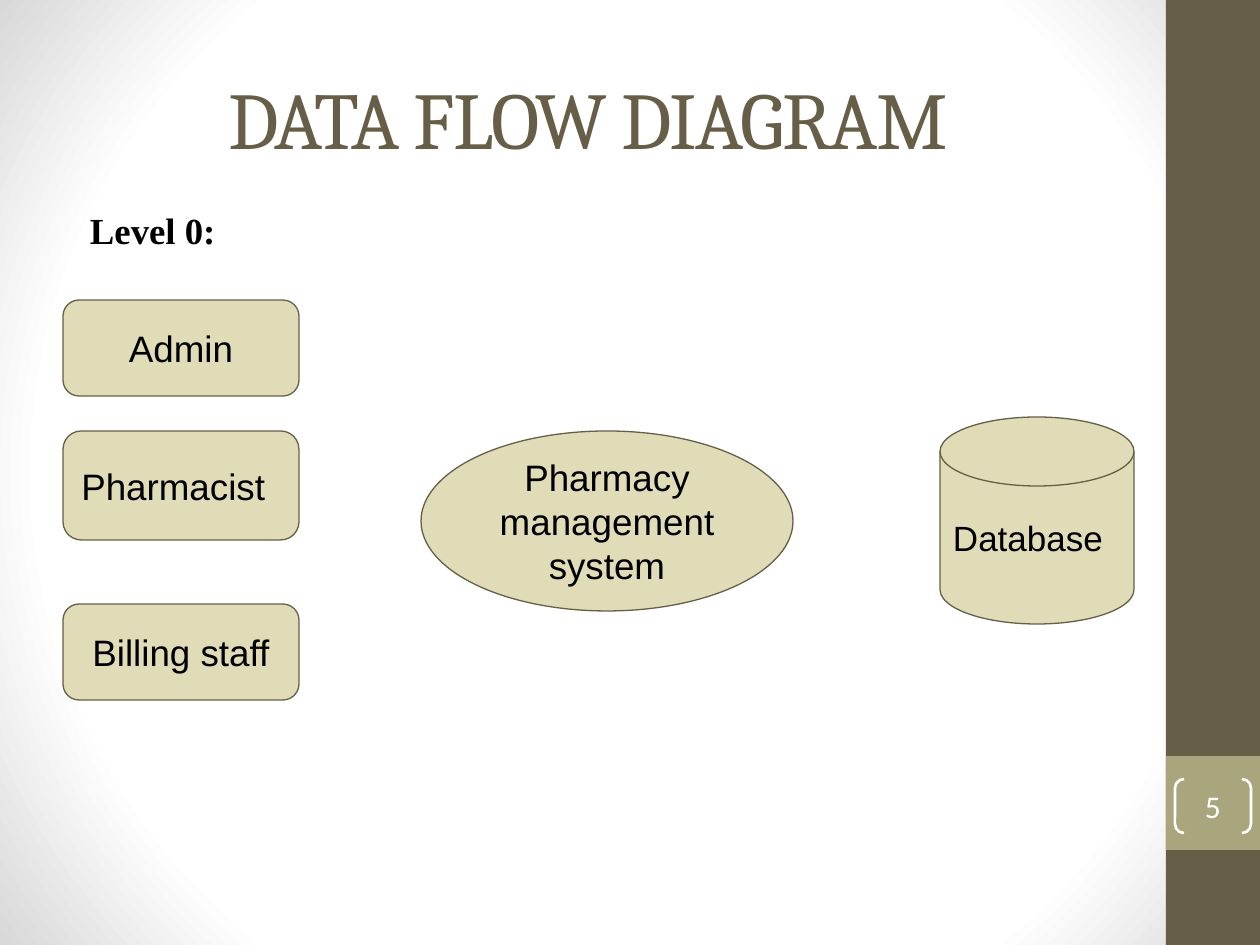
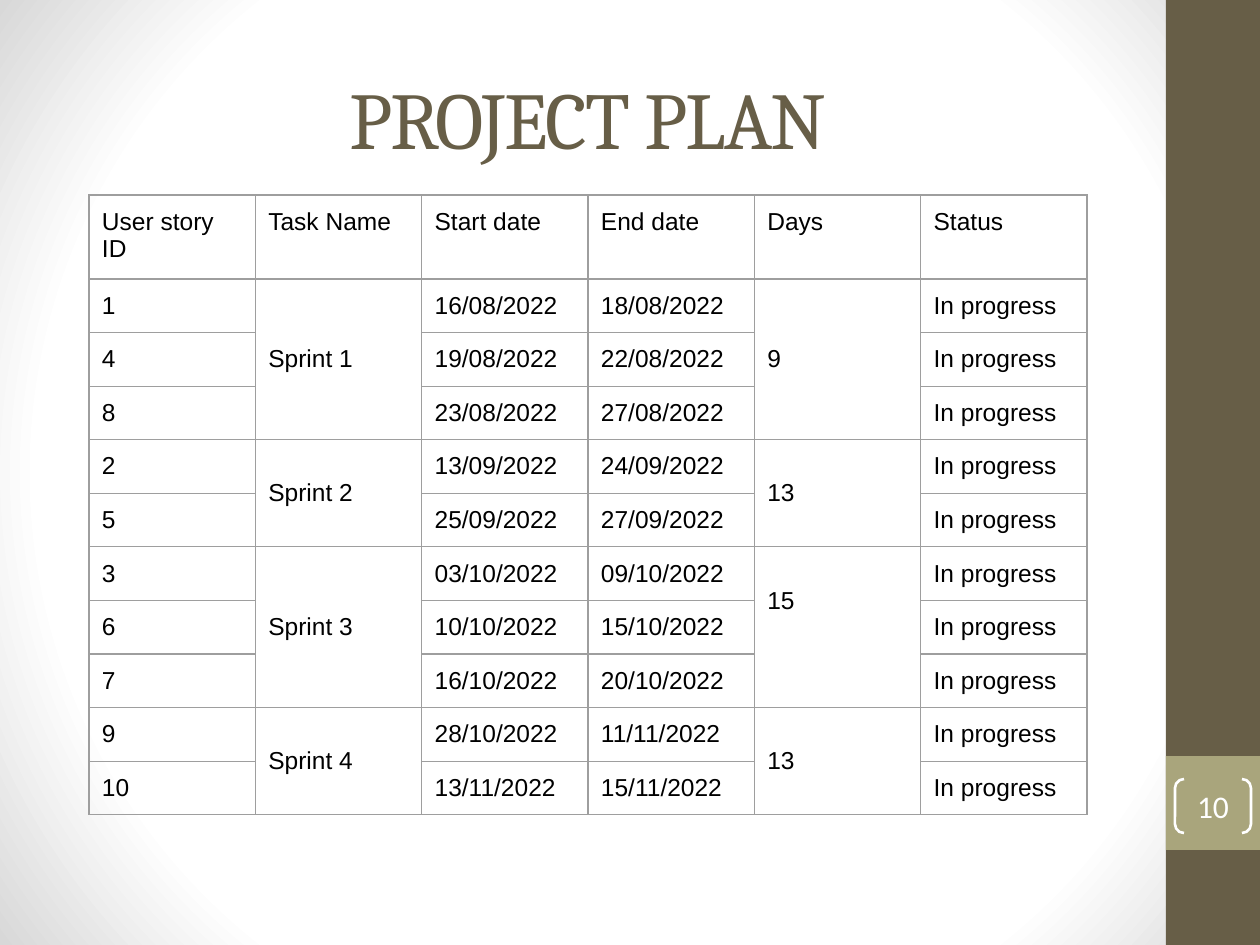
"""Build two slides: a data flow diagram and a project plan."""
import pptx
import pptx.dml.color
import pptx.enum.shapes
import pptx.enum.text
import pptx.oxml
import pptx.oxml.ns
import pptx.util

HUES = {"dark": "675E47", "band": "A9A57C", "box": "DFDCB7",
        "grid": "9E9E9E", "text": "000000", "white": "FFFFFF", "edge": "D8D8D8"}
KIND = pptx.enum.shapes.MSO_SHAPE
LEFT = pptx.enum.text.PP_ALIGN.LEFT
MID = pptx.enum.text.PP_ALIGN.CENTER
TOP = pptx.enum.text.MSO_ANCHOR.TOP
HALF = pptx.enum.text.MSO_ANCHOR.MIDDLE
SCALE = 914400 / 126
PAD = 13

HEADS = ["User story ID", "Task Name", "Start date", "End date", "Days", "Status"]
STATE = "In progress"
PLAN = [
    ("Sprint 1", "9", [("1", "16/08/2022", "18/08/2022"),
                       ("4", "19/08/2022", "22/08/2022"),
                       ("8", "23/08/2022", "27/08/2022")]),
    ("Sprint 2", "13", [("2", "13/09/2022", "24/09/2022"),
                        ("5", "25/09/2022", "27/09/2022")]),
    ("Sprint 3", "15", [("3", "03/10/2022", "09/10/2022"),
                        ("6", "10/10/2022", "15/10/2022"),
                        ("7", "16/10/2022", "20/10/2022")]),
    ("Sprint 4", "13", [("9", "28/10/2022", "11/11/2022"),
                        ("10", "13/11/2022", "15/11/2022")]),
]


def px(num):
    """Turn pixels into EMU."""
    return pptx.util.Emu(round(num * SCALE))


def hue(name):
    """Look up a colour by name."""
    return pptx.dml.color.RGBColor.from_string(HUES[name])


def node(xml):
    """Parse a piece of XML with the usual prefixes."""
    head, tail = xml.split(">", 1) if "/>" not in xml.split(">", 1)[0] + ">" else (xml[:-2], "")
    spaces = pptx.oxml.ns.nsdecls("a", "p")
    return pptx.oxml.parse_xml(f"{head} {spaces}>{tail}" if tail else f"{head} {spaces}/>")


def write(frame, text, size, font="Arial", tint="text", align=LEFT, bold=False):
    """Add one run to the first paragraph of a frame."""
    para = frame.paragraphs[0]
    para.alignment = align
    run = para.add_run()
    run.text = text
    run.font.size = pptx.util.Pt(size)
    run.font.name = font
    run.font.bold = bold
    run.font.color.rgb = hue(tint)
    return run


def inset(item, side, ends):
    """Set the margins of a frame or cell."""
    item.margin_left = item.margin_right = px(side)
    item.margin_top = item.margin_bottom = px(ends)


def draw(slide, kind, area, fill=None, line=None, width=0.75):
    """Add a flat shape."""
    shape = slide.shapes.add_shape(kind, *map(px, area))
    shape.shadow.inherit = False
    if fill:
        shape.fill.solid()
        shape.fill.fore_color.rgb = hue(fill)
    else:
        shape.fill.background()
    if line:
        shape.line.color.rgb = hue(line)
        shape.line.width = pptx.util.Pt(width)
    else:
        shape.line.fill.background()
    return shape


def label(slide, kind, area, text, size=21, align=MID):
    """Add a diagram shape with its text."""
    frame = draw(slide, kind, area, "box", "dark").text_frame
    frame.word_wrap = True
    frame.vertical_anchor = HALF
    inset(frame, PAD, PAD)
    write(frame, text, size, align=align)


def shade(master):
    """Give the master its round gradient."""
    stops = "".join(f'<a:gs pos="{spot}000"><a:srgbClr val="{HUES[name]}"/></a:gs>'
                    for spot, name in ((0, "white"), (75, "white"), (100, "edge")))
    back = node(f'<p:bg><p:bgPr><a:gradFill rotWithShape="1"><a:gsLst>{stops}</a:gsLst>'
                '<a:path path="circle"><a:fillToRect l="50000" t="50000" r="50000" b="50000"/>'
                '</a:path></a:gradFill><a:effectLst/></p:bgPr></p:bg>')
    base = master.element.cSld
    for old in base.findall(pptx.oxml.ns.qn("p:bg")):
        base.remove(old)
    base.insert(0, back)


def band(slide, layout):
    """Draw the side bands and move them to the layout."""
    for area, fill in (((1166, 0, 94, 945), "dark"), ((1166, 756, 94, 94), "band")):
        layout.shapes.element.append(draw(slide, KIND.RECTANGLE, area, fill).element)


def start(deck, title, page):
    """Add a slide with its title and page number."""
    slide = deck.slides.add_slide(deck.slide_layouts[5])
    head = slide.shapes.title
    head.left, head.top, head.width, head.height = map(px, (63, 38, 1050, 158))
    frame = head.text_frame
    frame.auto_size = pptx.enum.text.MSO_AUTO_SIZE.NONE
    frame.word_wrap = True
    frame.vertical_anchor = HALF
    inset(frame, PAD, 6)
    run = write(frame, title, 46, "Cambria", "dark", MID)
    run.font._element.set("spc", "-100")
    mark = draw(slide, KIND.DOUBLE_BRACKET, (1175, 779, 76, 54), line="white", width=1.5)
    mark.text_frame.vertical_anchor = HALF
    inset(mark.text_frame, 0, 0)
    write(mark.text_frame, page, 18, "Calibri", "white", MID)
    return slide


def flow(slide):
    """Fill the data flow slide."""
    note = slide.shapes.add_textbox(*map(px, (77, 195, 990, 71))).text_frame
    note.word_wrap = True
    inset(note, PAD, PAD)
    write(note, "Level 0:", 21, "Times New Roman", bold=True)
    for name, top, tall, align in (("Admin", 300, 96, MID), ("Pharmacist", 431, 109, LEFT),
                                   ("Billing staff", 604, 96, MID)):
        label(slide, KIND.ROUNDED_RECTANGLE, (63, top, 236, tall), name, align=align)
    label(slide, KIND.OVAL, (421, 431, 372, 180), "Pharmacy management system")
    label(slide, KIND.FLOWCHART_MAGNETIC_DISK, (940, 417, 194, 207), "Database", 20, LEFT)


def style(cell):
    """Give a cell its borders, margins and clear fill."""
    props = cell._tc.get_or_add_tcPr()
    for side in "LRTB":
        props.append(node(f'<a:ln{side} w="9525"><a:solidFill>'
                          f'<a:srgbClr val="{HUES["grid"]}"/></a:solidFill></a:ln{side}>'))
    cell.fill.background()
    inset(cell, PAD, PAD)


def put(cell, text, anchor=TOP):
    """Write the text of a table cell."""
    cell.vertical_anchor = anchor
    write(cell.text_frame, text, 14)


def plan(slide):
    """Fill the project plan slide."""
    count = 1 + sum(len(tasks) for _, _, tasks in PLAN)
    area = (89, 195, 998, 84 + 53 * (count - 1))
    grid = slide.shapes.add_table(count, len(HEADS), *map(px, area)).table
    grid.first_row = grid.horz_banding = False
    for index, row in enumerate(grid.rows):
        row.height = px(53 if index else 84)
    for cell in grid.iter_cells():
        style(cell)
    for col, text in enumerate(HEADS):
        put(grid.cell(0, col), text)
    top = 1
    for sprint, days, tasks in PLAN:
        last = top + len(tasks) - 1
        for col, text in ((1, sprint), (4, days)):
            cell = grid.cell(top, col)
            cell.merge(grid.cell(last, col))
            put(cell, text, TOP if text == "15" else HALF)
            if text == "15":
                cell.margin_top = px(PAD + 27)
        for row, (story, begin, end) in enumerate(tasks, top):
            for col, text in ((0, story), (2, begin), (3, end), (5, STATE)):
                put(grid.cell(row, col), text)
        top = last + 1


def main():
    """Build and save the deck."""
    deck = pptx.Presentation()
    deck.slide_width, deck.slide_height = px(1260), px(945)
    shade(deck.slide_master)
    first = start(deck, "DATA FLOW DIAGRAM", "5")
    band(first, deck.slide_layouts[5])
    flow(first)
    plan(start(deck, "PROJECT PLAN", "10"))
    deck.save("out.pptx")


if __name__ == "__main__":
    main()
